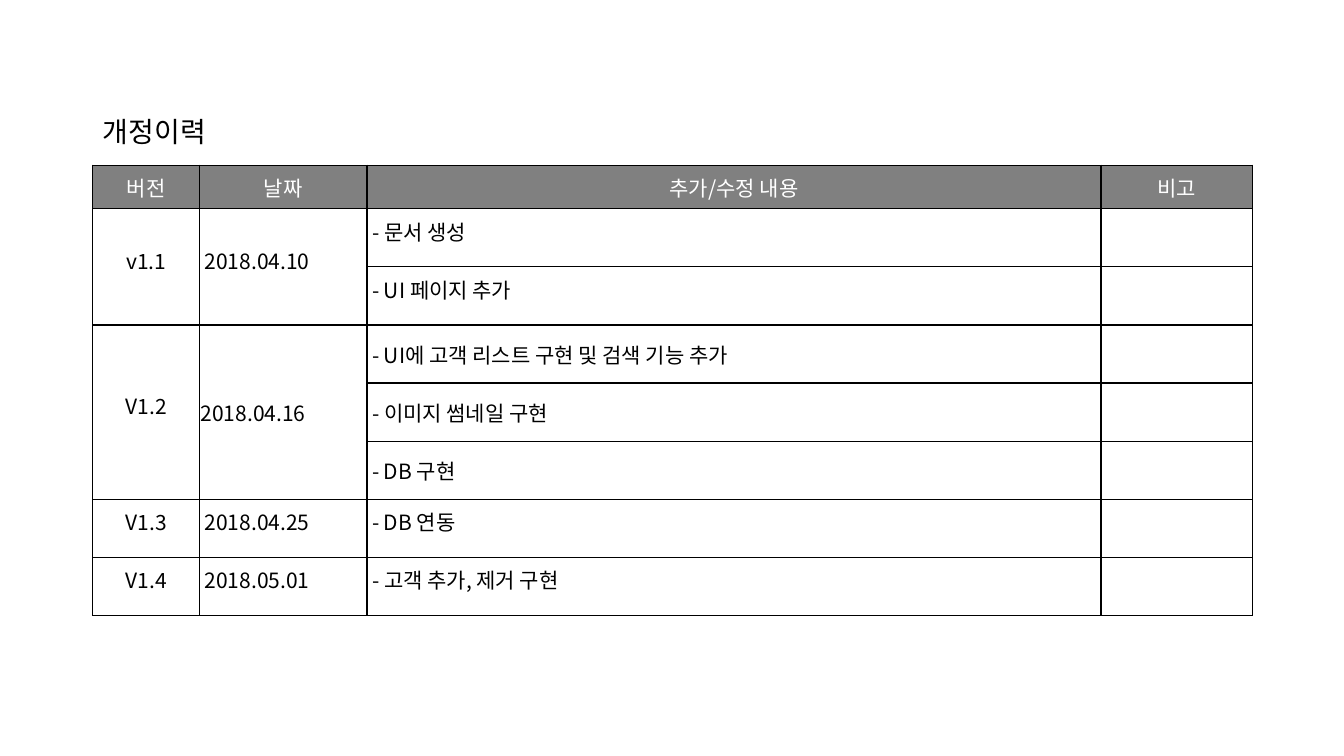
from lxml.etree import SubElement
from pptx import Presentation
from pptx.dml.color import RGBColor
from pptx.enum.text import MSO_ANCHOR, PP_ALIGN
from pptx.oxml.ns import qn
from pptx.util import Inches, Pt

FONT = "Noto Sans CJK KR"
BLACK, WHITE, GRAY = "000000", "FFFFFF", "808080"

TITLE = "개정이력"
HEADINGS = ["버전", "날짜", "추가/수정 내용", "비고"]
# version, date, changes, whether date and changes use the compact format
REVISIONS = [
    ("v1.1", "2018.04.10", ["- 문서 생성", "- UI 페이지 추가"], False),
    ("V1.2", "2018.04.16",
     ["- UI에 고객 리스트 구현 및 검색 기능 추가", "- 이미지 썸네일 구현", "- DB 구현"], True),
    ("V1.3", "2018.04.25", ["- DB 연동"], False),
    ("V1.4", "2018.05.01", ["- 고객 추가, 제거 구현"], False),
]

LEFT, TOP, WIDTH, HEIGHT = 0.92, 1.64, 11.5, 4.47
TITLE_TOP = 1
COLUMN_WIDTHS = [1.06, 1.66, 7.28, 1.5]
HEADER_HEIGHT = 0.43

HEADER = dict(color=WHITE, align=PP_ALIGN.CENTER, before=3, after=3, side=0.06, edge=0)
NORMAL = dict(line=Pt(12), after=6, side=0.05, edge=0.01)
CENTERED = dict(NORMAL, align=PP_ALIGN.CENTER)
COMPACT_DATE = dict(side=0.01, edge=0.01)
COMPACT_CHANGE = dict(side=0.05, edge=0.01)


def rgb(value):
    return RGBColor.from_string(value)


def write(frame, text, size=15, color=BLACK, align=PP_ALIGN.LEFT, line=None, before=0, after=0):
    paragraph = frame.paragraphs[0]
    paragraph.alignment = align
    paragraph.space_before, paragraph.space_after = Pt(before), Pt(after)
    if line:
        paragraph.line_spacing = line
    run = paragraph.add_run()
    run.text = text
    run.font.size, run.font.bold, run.font.name = Pt(size), False, FONT
    run.font.color.rgb = rgb(color)
    SubElement(run.font._element, qn("a:ea"), typeface=FONT)


def write_cell(cell, text, side, edge, **text_format):
    cell.vertical_anchor = MSO_ANCHOR.MIDDLE
    cell.margin_left = cell.margin_right = Inches(side)
    cell.margin_top = cell.margin_bottom = Inches(edge)
    write(cell.text_frame, text, **text_format)


def draw_borders(cell):
    properties = cell._tc.get_or_add_tcPr()
    for side in ("lnL", "lnR", "lnT", "lnB"):
        border = SubElement(properties, qn(f"a:{side}"), w=str(Pt(1)))
        fill = SubElement(border, qn("a:solidFill"))
        SubElement(fill, qn("a:srgbClr"), val=BLACK)


def add_title(slide):
    title = slide.shapes.add_textbox(
        Inches(LEFT), Inches(TITLE_TOP), Inches(WIDTH), Inches(TOP - TITLE_TOP))
    title.text_frame.word_wrap = True
    title.text_frame.vertical_anchor = MSO_ANCHOR.MIDDLE
    write(title.text_frame, TITLE, size=20, line=0.9)


def add_history(slide):
    change_count = sum(len(changes) for _, _, changes, _ in REVISIONS)
    table = slide.shapes.add_table(
        change_count + 1, len(HEADINGS),
        Inches(LEFT), Inches(TOP), Inches(WIDTH), Inches(HEIGHT)).table
    table.first_row = table.horz_banding = False
    for column, width in zip(table.columns, COLUMN_WIDTHS):
        column.width = Inches(width)
    for index, row in enumerate(table.rows):
        row.height = Inches((HEIGHT - HEADER_HEIGHT) / change_count if index else HEADER_HEIGHT)
        for cell in row.cells:
            draw_borders(cell)
            cell.fill.solid()
            cell.fill.fore_color.rgb = rgb(WHITE if index else GRAY)

    for column, heading in enumerate(HEADINGS):
        write_cell(table.cell(0, column), heading, **HEADER)

    first = 1
    for version, date, changes, compact in REVISIONS:
        last = first + len(changes) - 1
        if last > first:
            for column in (0, 1):
                table.cell(first, column).merge(table.cell(last, column))
        write_cell(table.cell(first, 0), version, **CENTERED)
        write_cell(table.cell(first, 1), date, **(COMPACT_DATE if compact else NORMAL))
        for row, change in enumerate(changes, first):
            write_cell(table.cell(row, 2), change, **(COMPACT_CHANGE if compact else NORMAL))
        first = last + 1


def main():
    deck = Presentation()
    deck.slide_width, deck.slide_height = Inches(13.33), Inches(7.5)
    slide = deck.slides.add_slide(deck.slide_layouts[6])
    add_title(slide)
    add_history(slide)
    deck.save("out.pptx")


if __name__ == "__main__":
    main()
